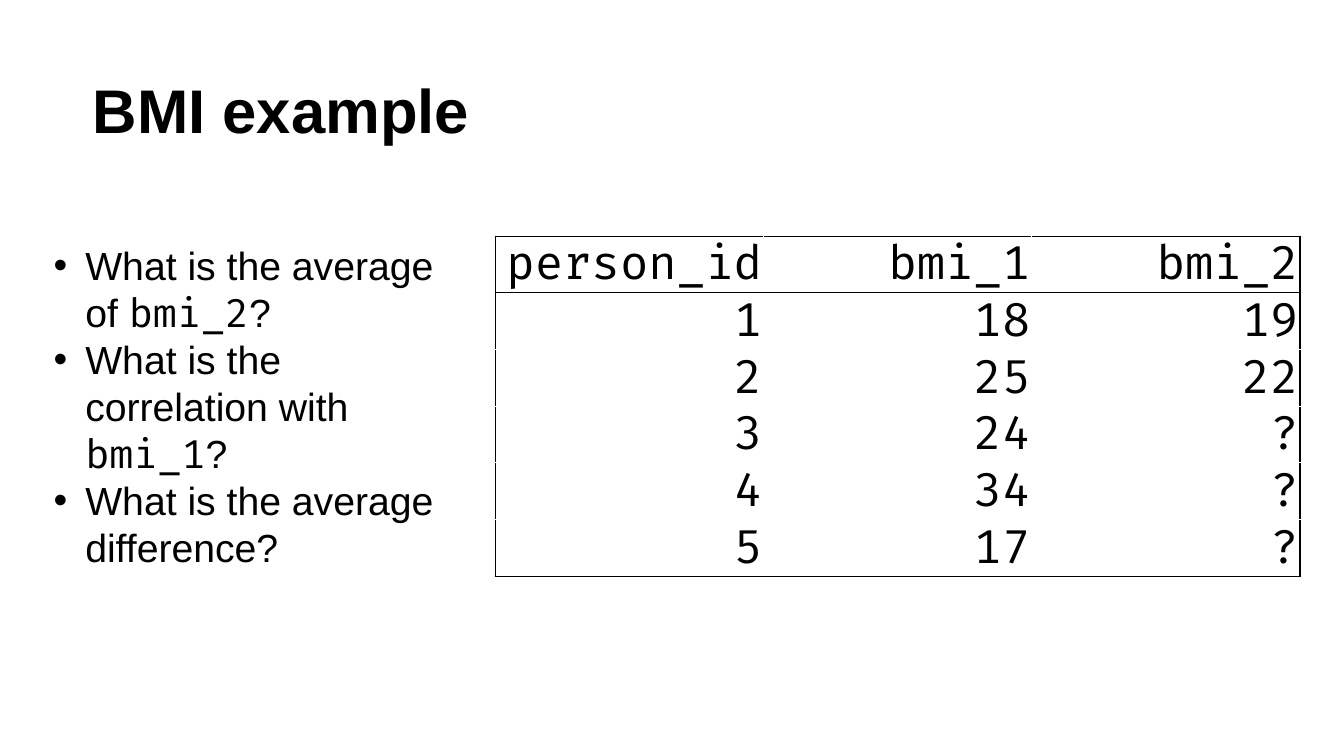
from dataclasses import dataclass

import pptx
import pptx.dml.color
import pptx.enum.text
import pptx.oxml
import pptx.oxml.ns
import pptx.util
from pptx.util import Cm

BLACK = pptx.dml.color.RGBColor(0x00, 0x00, 0x00)
WHITE = pptx.dml.color.RGBColor(0xFF, 0xFF, 0xFF)
PROSE_FONT = "Arial"
CODE_FONT = "Fira Code"
ROW_HEIGHT = Cm(1.42)
COLUMN_WIDTH = Cm(6.76)


@dataclass(frozen=True)
class Question:
    """A bullet whose variable name, if any, is set in the code font."""
    opening: str
    variable: str = ""
    ending: str = ""


QUESTIONS = [
    Question("What is the average of ", "bmi_2", "?"),
    Question("What is the correlation with ", "bmi_1", "?"),
    Question("What is the average difference?"),
]
BMI_ROWS = [
    ("person_id", "bmi_1", "bmi_2"),
    ("1", "18", "19"),
    ("2", "25", "22"),
    ("3", "24", "?"),
    ("4", "34", "?"),
    ("5", "17", "?"),
]


def write(paragraph, text: str, *, size: float, font: str = PROSE_FONT,
          bold: bool = False) -> None:
    run = paragraph.add_run()
    run.text = text
    run.font.name = font
    run.font.size = pptx.util.Pt(size)
    run.font.bold = bold
    run.font.color.rgb = BLACK


def add_bullet(paragraph) -> None:
    properties = paragraph._p.get_or_add_pPr()
    properties.set("marL", str(Cm(0.8)))
    properties.set("indent", str(-Cm(0.8)))
    namespace = pptx.oxml.ns.nsdecls("a")
    for element in (f'<a:buFont {namespace} typeface="{PROSE_FONT}"/>',
                    f'<a:buChar {namespace} char="•"/>'):
        properties.append(pptx.oxml.parse_xml(element))


def set_borders(cell, black_sides: dict[str, bool]) -> None:
    """Draw each side black where flagged and white elsewhere."""
    properties = cell._tc.get_or_add_tcPr()
    for position, (side, is_black) in enumerate(black_sides.items()):
        properties.insert(position, pptx.oxml.parse_xml(
            f'<a:ln{side} {pptx.oxml.ns.nsdecls("a")} w="{pptx.util.Pt(1)}">'
            f'<a:solidFill><a:srgbClr val="{BLACK if is_black else WHITE}"/>'
            f'</a:solidFill></a:ln{side}>'))


def add_title(slide) -> None:
    title = slide.shapes.title
    title.left, title.top, title.width, title.height = (
        Cm(2.34), Cm(2.0), Cm(29.2), Cm(1.7))
    frame = title.text_frame
    frame.margin_left = frame.margin_right = 0
    frame.margin_top = frame.margin_bottom = 0
    frame.word_wrap = True
    frame.vertical_anchor = pptx.enum.text.MSO_ANCHOR.MIDDLE
    frame.auto_size = pptx.enum.text.MSO_AUTO_SIZE.SHAPE_TO_FIT_TEXT
    heading = frame.paragraphs[0]
    heading.alignment = pptx.enum.text.PP_ALIGN.LEFT
    heading.line_spacing = 0.9
    write(heading, "BMI example", size=44, bold=True)


def add_bmi_table(slide) -> None:
    last_row, last_column = len(BMI_ROWS) - 1, len(BMI_ROWS[0]) - 1
    table = slide.shapes.add_table(
        len(BMI_ROWS), len(BMI_ROWS[0]), Cm(12.48), Cm(5.95),
        COLUMN_WIDTH * len(BMI_ROWS[0]), ROW_HEIGHT * len(BMI_ROWS)).table
    table.horz_banding = False
    for row_index, values in enumerate(BMI_ROWS):
        for column_index, value in enumerate(values):
            cell = table.cell(row_index, column_index)
            cell.fill.background()
            cell.margin_left = cell.margin_right = cell.margin_top = Cm(0.03)
            cell.margin_bottom = 0
            cell.vertical_anchor = pptx.enum.text.MSO_ANCHOR.BOTTOM
            entry = cell.text_frame.paragraphs[0]
            entry.alignment = pptx.enum.text.PP_ALIGN.RIGHT
            write(entry, value, size=33, font=CODE_FONT)
            set_borders(cell, {
                "L": column_index == 0,
                "R": column_index == last_column,
                "T": row_index <= 1,
                "B": row_index in (0, last_row),
            })


def add_questions(slide) -> None:
    frame = slide.shapes.add_textbox(
        Cm(1.1), Cm(5.95), Cm(10.8), Cm(8.63)).text_frame
    frame.word_wrap = True
    frame.auto_size = pptx.enum.text.MSO_AUTO_SIZE.SHAPE_TO_FIT_TEXT
    for index, question in enumerate(QUESTIONS):
        paragraph = frame.add_paragraph() if index else frame.paragraphs[0]
        add_bullet(paragraph)
        for text, font in ((question.opening, PROSE_FONT),
                           (question.variable, CODE_FONT),
                           (question.ending, PROSE_FONT)):
            if text:
                write(paragraph, text, size=28, font=font)


def main() -> None:
    presentation = pptx.Presentation()
    presentation.slide_width = Cm(33.87)
    presentation.slide_height = Cm(19.05)
    title_only = presentation.slide_layouts.get_by_name("Title Only")
    slide = presentation.slides.add_slide(title_only)
    add_title(slide)
    add_bmi_table(slide)
    add_questions(slide)
    presentation.save("out.pptx")


if __name__ == "__main__":
    main()
